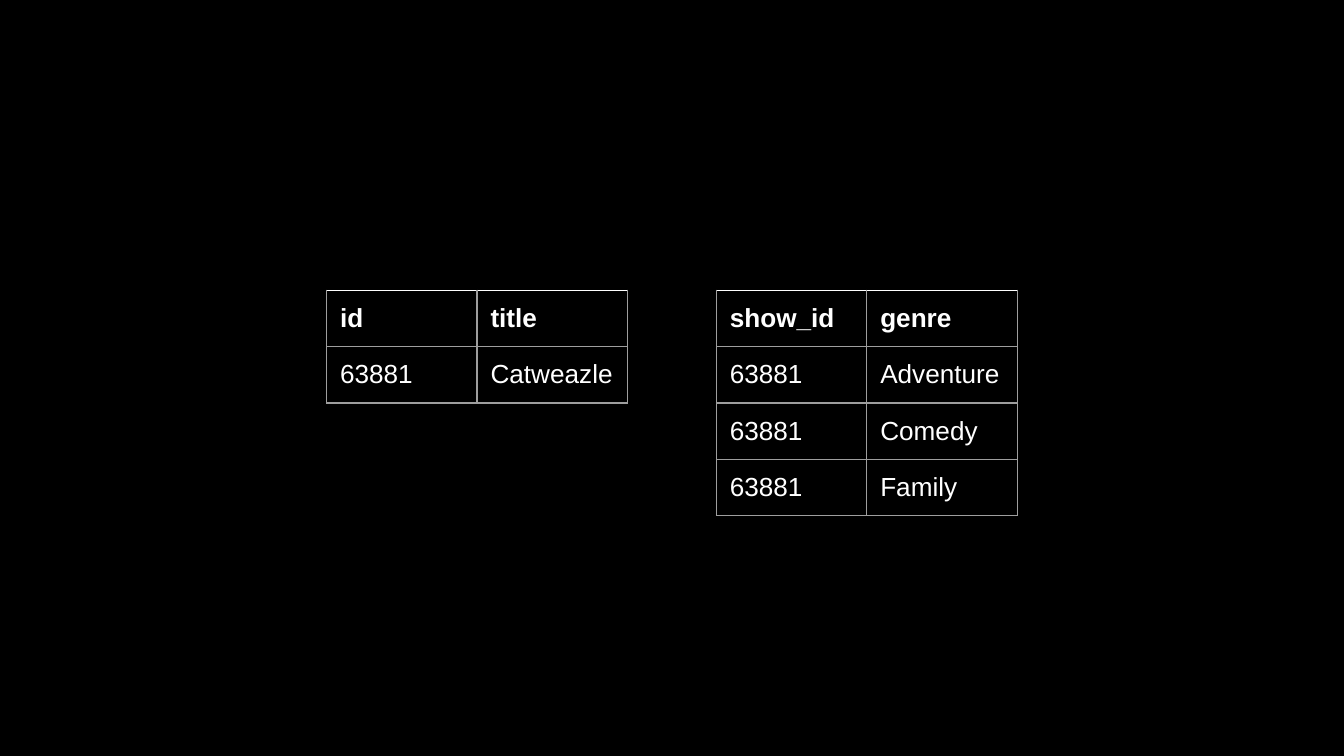
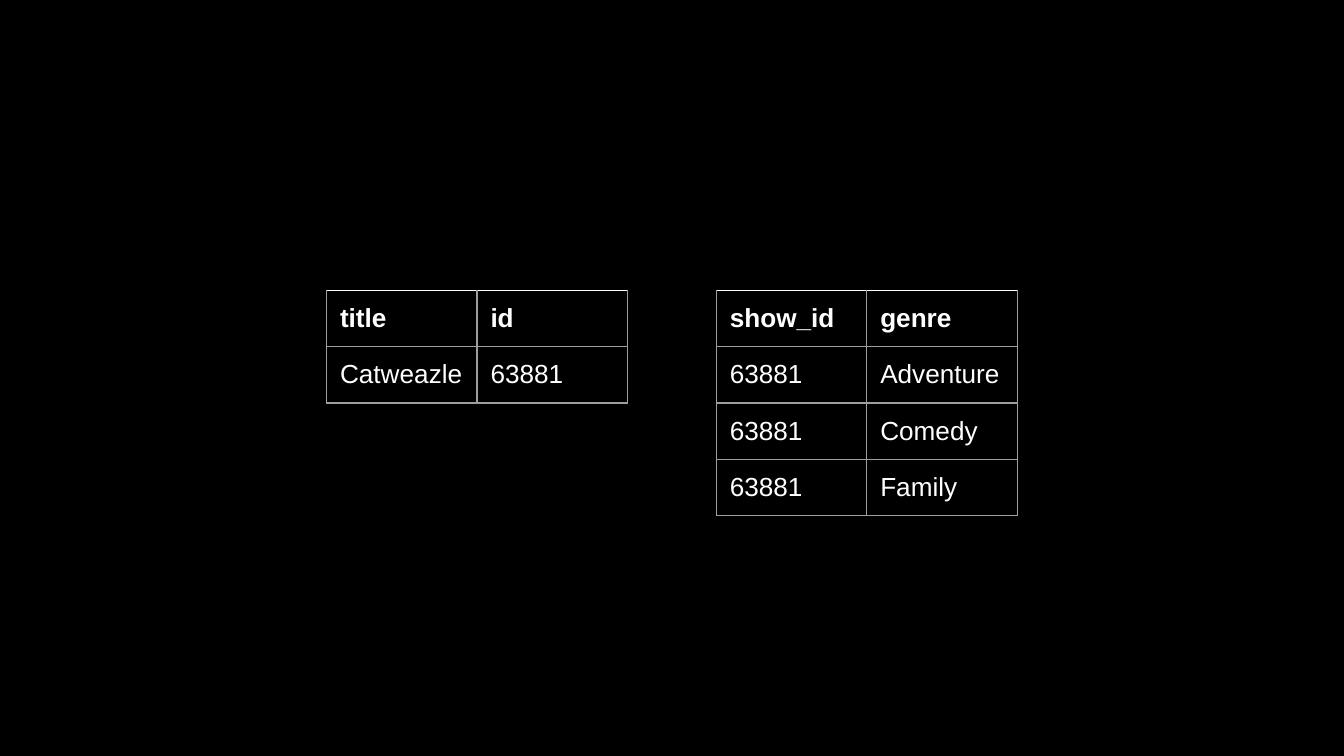
"""Build two slides that pair a show table with its genre table."""
from dataclasses import dataclass

from lxml import etree
from pptx import Presentation
from pptx.dml.color import RGBColor
from pptx.oxml.ns import qn
from pptx.slide import Slide
from pptx.table import _Cell
from pptx.util import Inches, Pt

COLORS = {"background": "000000", "text": "FFFFFF", "top_rule": "FFFFFF", "grid": "9E9E9E"}
FONT = "Arial"
FONT_SIZE = Pt(14)
RULE_WIDTH = Pt(0.75)
SLIDE_WIDTH = Inches(10)
SLIDE_HEIGHT = SLIDE_WIDTH * 9 // 16
TABLE_TOP = Inches(2.16)
COLUMN_WIDTH = Inches(1.12)
ROW_HEIGHT = Inches(0.42)
CELL_MARGIN = Inches(0.1)
SHOW_LEFT = Inches(2.43)
GENRE_LEFT = Inches(5.33)
SHOW_ID = "63881"


@dataclass(frozen=True)
class Relation:
    left: int
    rows: tuple[tuple[str, ...], ...]


GENRES = Relation(
    GENRE_LEFT,
    (("show_id", "genre"), *((SHOW_ID, genre) for genre in ("Adventure", "Comedy", "Family"))),
)
SHOWS_BY_ID = Relation(SHOW_LEFT, (("id", "title"), (SHOW_ID, "Catweazle")))
SHOWS_BY_TITLE = Relation(SHOW_LEFT, tuple(row[::-1] for row in SHOWS_BY_ID.rows))


def add_borders(cell: _Cell, top_color: str) -> None:
    properties = cell._tc.get_or_add_tcPr()
    for side in ("lnL", "lnR", "lnT", "lnB"):
        rule = etree.SubElement(properties, qn(f"a:{side}"), w=str(RULE_WIDTH))
        fill = etree.SubElement(rule, qn("a:solidFill"))
        color = top_color if side == "lnT" else COLORS["grid"]
        etree.SubElement(fill, qn("a:srgbClr"), val=color)


def fill_cell(cell: _Cell, value: str, is_header: bool) -> None:
    cell.margin_left = cell.margin_right = CELL_MARGIN
    cell.margin_top = cell.margin_bottom = CELL_MARGIN
    add_borders(cell, COLORS["top_rule" if is_header else "grid"])
    cell.fill.background()
    cell.text = value
    font = cell.text_frame.paragraphs[0].font
    font.name = FONT
    font.size = FONT_SIZE
    font.bold = is_header
    font.color.rgb = RGBColor.from_string(COLORS["text"])


def draw_relation(slide: Slide, relation: Relation) -> None:
    row_count, column_count = len(relation.rows), len(relation.rows[0])
    table = slide.shapes.add_table(
        row_count, column_count, relation.left, TABLE_TOP,
        COLUMN_WIDTH * column_count, ROW_HEIGHT * row_count,
    ).table
    table.first_row = False
    table.horz_banding = False
    for row_index, values in enumerate(relation.rows):
        for column_index, value in enumerate(values):
            fill_cell(table.cell(row_index, column_index), value, row_index == 0)


def main() -> None:
    presentation = Presentation()
    presentation.slide_width = SLIDE_WIDTH
    presentation.slide_height = SLIDE_HEIGHT
    blank_layout = presentation.slide_layouts[6]
    for shows in (SHOWS_BY_ID, SHOWS_BY_TITLE):
        slide = presentation.slides.add_slide(blank_layout)
        background = slide.background.fill
        background.solid()
        background.fore_color.rgb = RGBColor.from_string(COLORS["background"])
        for relation in (GENRES, shows):
            draw_relation(slide, relation)
    presentation.save("out.pptx")


if __name__ == "__main__":
    main()
